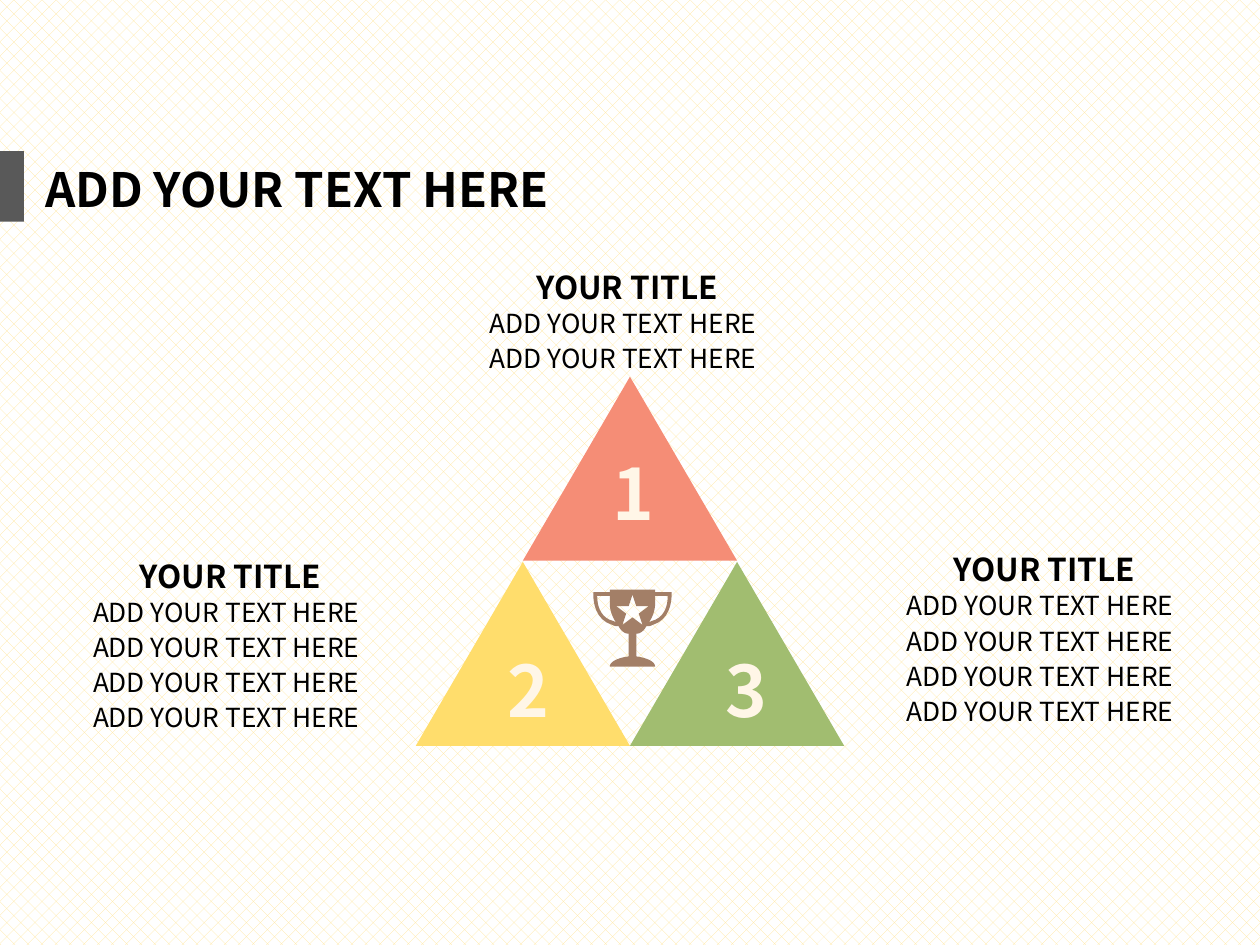
from pptx import Presentation
from pptx.dml.color import RGBColor
from pptx.enum.dml import MSO_PATTERN
from pptx.enum.shapes import MSO_SHAPE
from pptx.enum.text import MSO_AUTO_SIZE
from pptx.util import Inches, Pt

TRIANGLE = MSO_SHAPE.ISOSCELES_TRIANGLE
RECTANGLE = MSO_SHAPE.RECTANGLE
HATCH = MSO_PATTERN.PERCENT_25
GROW = MSO_AUTO_SIZE.SHAPE_TO_FIT_TEXT

FONT = "Noto Sans CJK SC"
BLACK = RGBColor(0x00, 0x00, 0x00)
WHITE = RGBColor(0xFF, 0xFF, 0xFF)
HATCH_YELLOW = RGBColor(0xFF, 0xE6, 0x99)
CORAL = RGBColor(0xF5, 0x8D, 0x76)
YELLOW = RGBColor(0xFF, 0xDD, 0x6C)
GREEN = RGBColor(0xA1, 0xBD, 0x70)
BROWN = RGBColor(0xA3, 0x7F, 0x67)
CREAM = RGBColor(0xFF, 0xF6, 0xE7)
GRAY = RGBColor(0x59, 0x59, 0x59)

BODY = "ADD YOUR TEXT HERE"
LINE_STEP = 0.28
TRIANGLE_WIDTH, TRIANGLE_HEIGHT = 1.7, 1.46
NUMBERED_TRIANGLES = [
    ("1", 4.15, 2.99, CORAL, 4.76, 3.52),
    ("2", 3.3, 4.46, YELLOW, 3.93, 5.08),
    ("3", 5, 4.46, GREEN, 5.66, 5.08),
]
CALLOUTS = [(0.64, 4.37, 4), (7.1, 4.32, 4), (3.79, 2.08, 2)]

TROPHY_AXIS = 5.02
CUP_HALF = [
    (5.2, 4.68), (5.2, 4.7), (5.33, 4.7),
    (5.33, 4.7, 5.35, 4.91, 5.18, 4.96),
    (5.16, 4.97, 5.15, 4.97, 5.13, 4.97),
    (5.11, 5.01, 5.08, 5.03, 5.05, 5.03),
    (5.05, 5.21),
    (5.13, 5.22, 5.2, 5.25, 5.2, 5.29),
]
HANDLE_HOLE = [
    (5.2, 4.73), (5.3, 4.73),
    (5.3, 4.78, 5.29, 4.9, 5.17, 4.93),
    (5.15, 4.94),
    (5.18, 4.9, 5.2, 4.84, 5.2, 4.79),
]
STAR_HALF = [(5.02, 4.72), (5.05, 4.81), (5.15, 4.81), (5.07, 4.87), (5.1, 4.96), (5.02, 4.9)]


def flatten(outline, steps=10):
    """Turn points and cubic curves (two controls and an end) into points."""
    points = []
    for segment in outline:
        if len(segment) == 2:
            points.append(segment)
            continue
        start = points[-1]
        controls = [start, segment[:2], segment[2:4], segment[4:]]
        for step in range(1, steps + 1):
            t = step / steps
            weights = ((1 - t) ** 3, 3 * t * (1 - t) ** 2, 3 * t * t * (1 - t), t ** 3)
            points.append(tuple(
                sum(weight * control[axis] for weight, control in zip(weights, controls))
                for axis in (0, 1)
            ))
    return points


def mirror(points):
    """Reflect points across the trophy axis, in reverse order."""
    return [(2 * TROPHY_AXIS - x, y) for x, y in reversed(points)]


def style_shape(shape, color):
    """Give a shape a flat fill without line or shadow."""
    shape.shadow.inherit = False
    shape.fill.solid()
    shape.fill.fore_color.rgb = color
    shape.line.fill.background()


def add_block(shapes, kind, left, top, width, height, color):
    """Add a flat preset shape."""
    shape = shapes.add_shape(kind, Inches(left), Inches(top), Inches(width), Inches(height))
    style_shape(shape, color)


def add_text(shapes, text, left, top, width, height, *, size, color=BLACK, bold=False):
    """Add a single line of text that does not wrap."""
    box = shapes.add_textbox(Inches(left), Inches(top), Inches(width), Inches(height))
    frame = box.text_frame
    frame.word_wrap = False
    frame.auto_size = GROW
    run = frame.paragraphs[0].add_run()
    run.text = text
    run.font.name = FONT
    run.font.size = Pt(size)
    run.font.bold = bold
    run.font.color.rgb = color


def add_trophy(shapes):
    """Add the trophy with its handle and star openings."""
    cup, hole, star = (flatten(part) for part in (CUP_HALF, HANDLE_HOLE, STAR_HALF))
    contours = [cup + mirror(cup), hole, mirror(hole), star + mirror(star)]
    builder = None
    for contour in contours:
        points = [(Inches(x), Inches(y)) for x, y in contour]
        if builder is None:
            builder = shapes.build_freeform(*points[0])
        else:
            builder.move_to(*points[0])
        builder.add_line_segments(points[1:], close=True)
    style_shape(builder.convert_to_shape(), BROWN)


def add_pyramid(shapes):
    """Add the three numbered triangles around the trophy."""
    for _, left, top, color, _, _ in NUMBERED_TRIANGLES:
        add_block(shapes, TRIANGLE, left, top, TRIANGLE_WIDTH, TRIANGLE_HEIGHT, color)
    add_trophy(shapes)
    for number, _, _, _, left, top in NUMBERED_TRIANGLES:
        add_text(shapes, number, left, top, 0.55, 0.78, size=40.5, color=CREAM, bold=True)


def add_callout(shapes, left, top, line_count):
    """Add a title with lines of text below it."""
    add_text(shapes, "YOUR TITLE", left + 0.37, top, 1.7, 0.4, size=18, bold=True)
    for index in range(line_count):
        add_text(shapes, BODY, left, top + 0.31 + index * LINE_STEP, 2.47, 0.35, size=15)


def main():
    """Build and save the presentation."""
    presentation = Presentation()
    presentation.slide_width = Inches(10)
    presentation.slide_height = Inches(7.5)
    slide = presentation.slides.add_slide(presentation.slide_layouts[6])
    background = slide.background.fill
    background.patterned()
    background.pattern = HATCH
    background.fore_color.rgb = HATCH_YELLOW
    background.back_color.rgb = WHITE

    add_pyramid(slide.shapes.add_group_shape().shapes)
    for left, top, line_count in CALLOUTS:
        add_callout(slide.shapes.add_group_shape().shapes, left, top, line_count)
    add_block(slide.shapes, RECTANGLE, 0, 1.2, 0.19, 0.56, GRAY)
    add_text(slide.shapes, BODY, 0.26, 1.22, 4.51, 0.56, size=27, bold=True)
    presentation.save("out.pptx")


if __name__ == "__main__":
    main()
